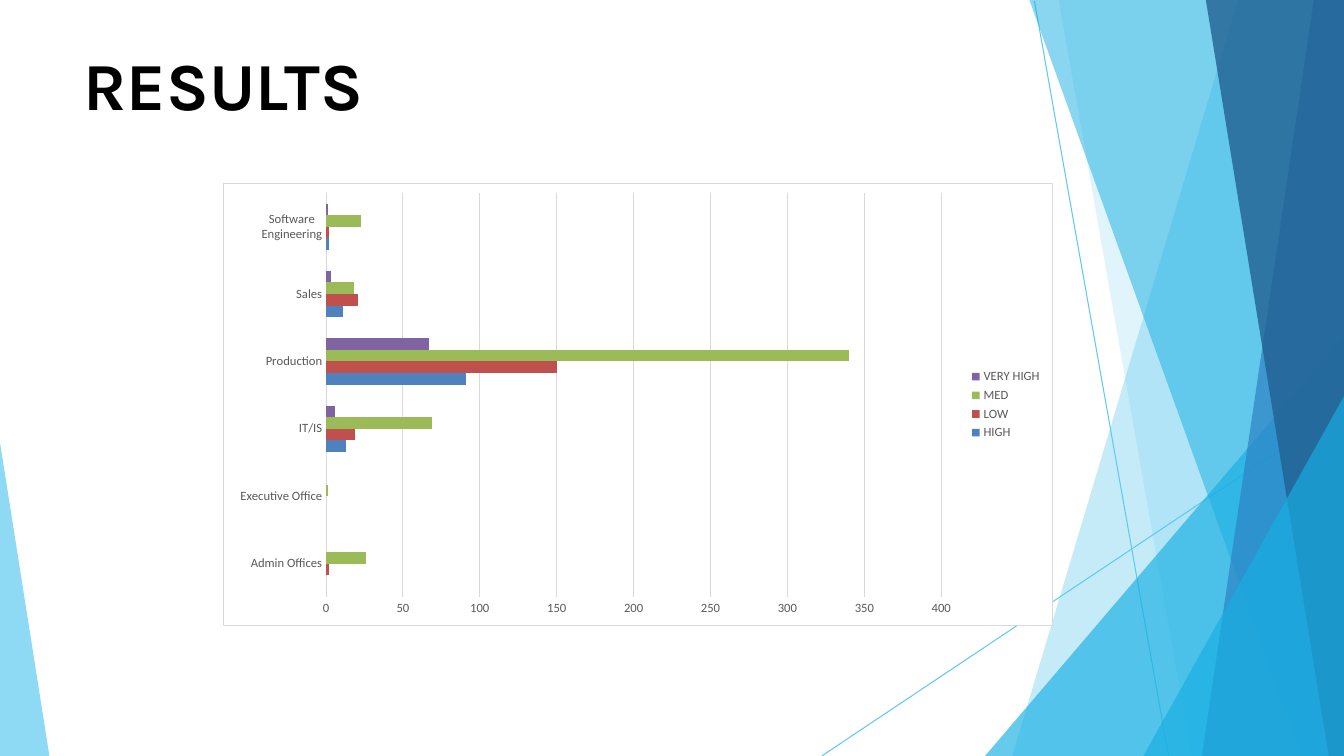
from lxml import etree
from pptx import Presentation
from pptx.chart.data import CategoryChartData
from pptx.dml.color import RGBColor
from pptx.enum.chart import XL_CHART_TYPE, XL_LEGEND_POSITION, XL_TICK_MARK
from pptx.enum.shapes import MSO_CONNECTOR
from pptx.enum.text import MSO_ANCHOR, PP_ALIGN
from pptx.oxml import parse_xml
from pptx.oxml.ns import nsdecls, qn
from pptx.util import Inches, Pt

SKY = RGBColor(0x5F, 0xCA, 0xEE)
CYAN = RGBColor(0x17, 0xAF, 0xE3)
BLUE = RGBColor(0x2D, 0x83, 0xC3)
NAVY = RGBColor(0x22, 0x61, 0x92)
BLACK = RGBColor(0, 0, 0)
GRAY = RGBColor(0x59, 0x59, 0x59)
GRID = RGBColor(0xD9, 0xD9, 0xD9)
W, H = 13.33, 7.5

prs = Presentation()
prs.slide_width, prs.slide_height = Inches(W), Inches(H)
s = prs.slides.add_slide(prs.slide_layouts[5])

# Thin background lines
for x1, y1, x2, y2 in [(10.26, 0.01, 11.59, H), (W, 4.04, 8.15, H)]:
    line = s.shapes.add_connector(MSO_CONNECTOR.STRAIGHT, Inches(x1), Inches(y1),
                                  Inches(x2), Inches(y2))
    line.line.color.rgb = SKY
    line.line.width = Pt(0.75)
    etree.SubElement(line._element.spPr, qn("a:effectLst"))

# Translucent facets: points, colour, opacity in percent
right = [(W, H), (W, 0)]
facets = [
    ([(12.28, 0), (10.04, H)] + right, SKY, 36),
    ([(10.5, 0), (11.82, H)] + right, SKY, 20),
    ([(W, 3.33), (9.77, H), (W, H)], CYAN, 66),
    ([(10.21, 0), (12.91, H)] + right, CYAN, 50),
    ([(13.03, 0), (11.92, H)] + right, BLUE, 70),
    ([(11.96, 0), (13.18, H)] + right, NAVY, 80),
    ([(W, 3.93), (11.34, H), (W, H)], CYAN, 66),
    ([(0, 4.39), (0, H), (0.49, H)], SKY, 70),
]
for points, color, opacity in facets:
    corners = [(Inches(x), Inches(y)) for x, y in points]
    fb = s.shapes.build_freeform(*corners[0])
    fb.add_line_segments(corners[1:], close=True)
    sp = fb.convert_to_shape()
    sp.shadow.inherit = False
    sp.fill.solid()
    sp.fill.fore_color.rgb = color
    sp.line.fill.background()
    clr = sp._element.spPr.find(".//" + qn("a:srgbClr"))
    etree.SubElement(clr, qn("a:alpha"), val=str(opacity * 1000))

# Title
title = s.shapes.title
title.left, title.top, title.width, title.height = map(Inches, (0.83, 0.42, 11.68, 0.81))
tf = title.text_frame
for name, value in {"margin_left": 0, "margin_top": 0, "margin_right": 0, "margin_bottom": 0,
                    "word_wrap": True, "vertical_anchor": MSO_ANCHOR.MIDDLE}.items():
    setattr(tf, name, value)
p = tf.paragraphs[0]
p.alignment = PP_ALIGN.LEFT
r = p.add_run()
r.text = "RESULTS"
for name, value in {"name": "Karla", "size": Pt(48), "bold": True}.items():
    setattr(r.font, name, value)
r.font.color.rgb = BLACK

# Bar chart
CHART_W, CHART_H = 8.23, 4.39
data = CategoryChartData()
data.categories = ["Admin Offices", "Executive Office", "IT/IS", "Production",
                   "Sales", "Software Engineering"]
series = [
    ("HIGH", (None, None, 13, 91, 11, 2), RGBColor(0x4F, 0x81, 0xBD)),
    ("LOW", (2, None, 19, 150, 21, 2), RGBColor(0xC0, 0x50, 0x4D)),
    ("MED", (26, 1, 69, 340, 18, 23), RGBColor(0x9B, 0xBB, 0x59)),
    ("VERY HIGH", (None, None, 6, 67, 3, 1), RGBColor(0x80, 0x64, 0xA2)),
]
for name, values, _ in series:
    data.add_series(name, values)
chart = s.shapes.add_chart(XL_CHART_TYPE.BAR_CLUSTERED, Inches(2.21), Inches(1.82),
                           Inches(CHART_W), Inches(CHART_H), data).chart
chart.has_title = False
chart.font.name, chart.font.size = "Calibri", Pt(10)
chart.font.color.rgb = BLACK
plot = chart.plots[0]
plot.gap_width, plot.overlap, plot.vary_by_categories = 182, 0, False
for ser, (_, _, color) in zip(plot.series, series):
    ser.invert_if_negative = False
    ser.format.fill.solid()
    ser.format.fill.fore_color.rgb = color

# Axes and legend
cat, val = chart.category_axis, chart.value_axis
val.minimum_scale, val.maximum_scale, val.major_unit = 0, 400, 50
val.has_major_gridlines = True
for axis in (cat, val):
    axis.major_tick_mark = axis.minor_tick_mark = XL_TICK_MARK.NONE
for fmt in (cat.format, val.major_gridlines.format):
    fmt.line.color.rgb = GRID
    fmt.line.width = Pt(0.75)
val.format.line.fill.background()
chart.has_legend = True
chart.legend.position = XL_LEGEND_POSITION.RIGHT
chart.legend.include_in_layout = False
for font in (cat.tick_labels.font, val.tick_labels.font, chart.legend.font):
    font.name, font.size = "Calibri", Pt(9)
    font.color.rgb = GRAY

# Plot area position, inches turned into shares of the chart
area = chart._chartSpace.chart.plotArea
for old in area.findall(qn("c:layout")):
    area.remove(old)
box = "".join(f'<c:{tag} val="{length / whole}"/>' for tag, length, whole in
              [("x", 1.02, CHART_W), ("y", 0.09, CHART_H),
               ("w", 6.11, CHART_W), ("h", 4.02, CHART_H)])
area.insert(0, parse_xml(
    f'<c:layout {nsdecls("c")}><c:manualLayout><c:layoutTarget val="inner"/>'
    f'<c:xMode val="edge"/><c:yMode val="edge"/>{box}</c:manualLayout></c:layout>'))

# Chart background and border
chart._chartSpace.chart.addnext(parse_xml(
    f'<c:spPr {nsdecls("c", "a")}><a:solidFill><a:srgbClr val="FFFFFF"/></a:solidFill>'
    f'<a:ln w="{Pt(0.75)}"><a:solidFill><a:srgbClr val="{GRID}"/></a:solidFill></a:ln></c:spPr>'))

prs.save("out.pptx")
